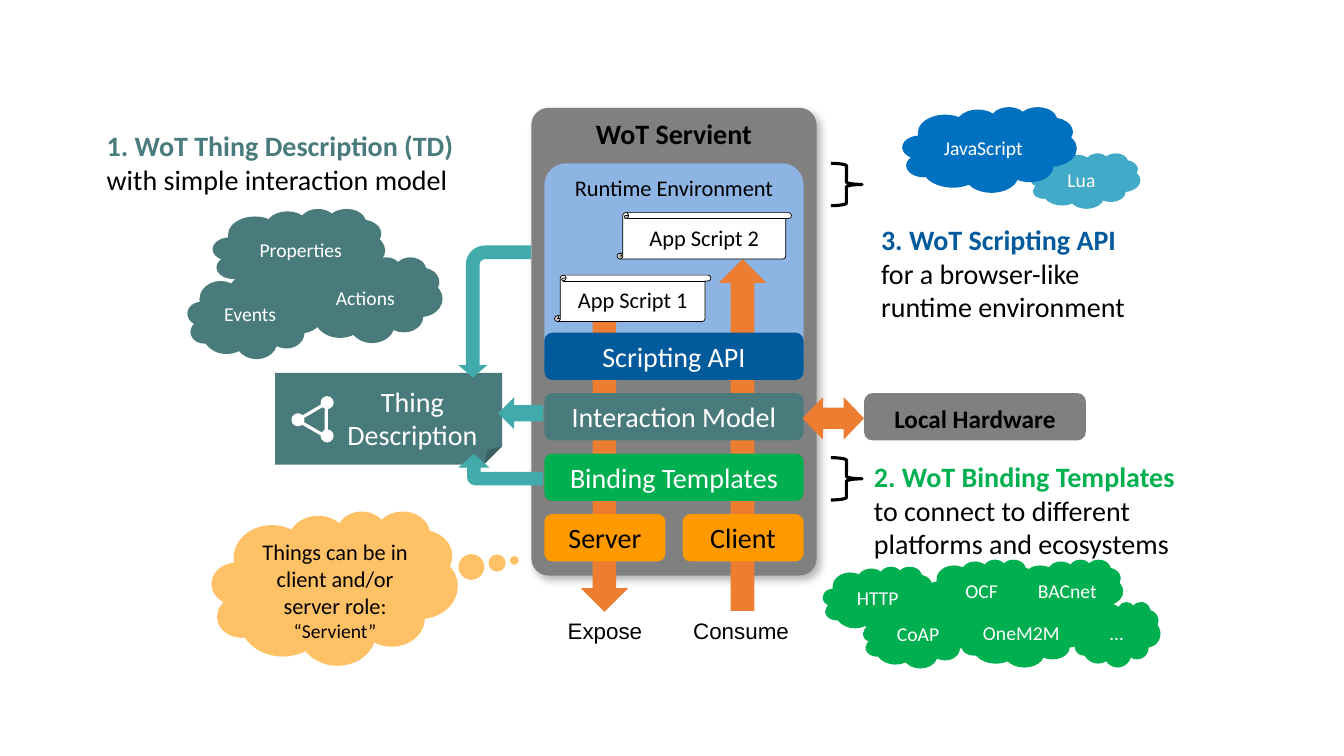
"""Draw the Web of Things servient diagram on a grid of tenth-inch cells."""
from dataclasses import dataclass
from lxml import etree
from pptx import Presentation
from pptx import util as u
from pptx.dml.color import RGBColor
from pptx.enum import shapes, text
from pptx.oxml.ns import qn

Kind = shapes.MSO_SHAPE
Anchor = text.MSO_ANCHOR
Align = text.PP_ALIGN
LEFT, WIDE = 54, 25.7

@dataclass(frozen=True)
class Theme:
    black: str = "000000"
    white: str = "FFFFFF"
    gray: str = "808080"
    sky: str = "8EB4E3"
    pine: str = "4A7B7C"
    teal: str = "41AAAA"
    lake: str = "41AAC8"
    blue: str = "0070C0"
    navy: str = "005A9C"
    green: str = "00B050"
    amber: str = "FF9900"
    rust: str = "ED7D31"
    face: str = "Calibri"
    plain: str = "Arial"
    big: int = 20
    mid: int = 18
    base: int = 16
    small: int = 14

T = Theme()

@dataclass(frozen=True)
class Style:
    size: int = T.big
    color: str = T.white
    bold: bool = False
    face: str = T.face
    anchor: Anchor = Anchor.MIDDLE
    align: Align = Align.CENTER
    pad: tuple = (1, 0.5, 1, 0.5)
    wrap: bool = False
    space: float = 1.0

@dataclass(frozen=True)
class Part:
    kind: Kind
    box: tuple
    fill: str = ""
    words: str = ""
    style: Style = Style()
    line: float = 0
    ink: str = T.black
    adj: tuple = ()
    turn: float = 0
    flip: bool = False

def cell(count: float) -> int:
    return u.Inches(round(count / 10, 2))

def paint(target, color: str) -> None:
    target.rgb = RGBColor.from_string(color)

def write(shape, words: str, style: Style, lead: str = "") -> None:
    frame = shape.text_frame
    frame.word_wrap, frame.vertical_anchor = style.wrap, style.anchor
    (frame.margin_left, frame.margin_top,
     frame.margin_right, frame.margin_bottom) = map(cell, style.pad)
    para = frame.paragraphs[0]
    para.alignment, para.line_spacing = style.align, style.space
    font = para.font
    font.name, font.size, font.bold = style.face, u.Pt(style.size), style.bold
    paint(font.color, style.color)
    for row, line in enumerate(words.split("\n")):
        if row:
            para.add_line_break()
        run = para.add_run()
        run.text = line
        if lead and not row:
            run.font.bold = True
            paint(run.font.color, lead)

def bend(shape, shares: tuple) -> None:
    guides = shape._element.spPr.find(qn("a:prstGeom")).find(qn("a:avLst"))
    guides.clear()
    for slot, share in enumerate(shares, 1):
        name = f"adj{slot}" if len(shares) > 1 else "adj"
        etree.SubElement(guides, qn("a:gd"), name=name, fmla=f"val {round(share * 100000)}")

def draw(tree, part: Part):
    shape = tree.add_shape(part.kind, *map(cell, part.box))
    shape.shadow.inherit = False
    shape.rotation = part.turn
    if part.adj:
        bend(shape, part.adj)
    if part.flip:
        shape._element.spPr.find(qn("a:xfrm")).set("flipH", "1")
    if part.fill:
        shape.fill.solid()
        paint(shape.fill.fore_color, part.fill)
    else:
        shape.fill.background()
    if part.line:
        shape.line.width = u.Pt(part.line)
        paint(shape.line.color, part.ink)
    else:
        shape.line.fill.background()
    if part.words:
        write(shape, part.words, part.style)
    return shape

def cast(shape) -> None:
    effect = shape._element.spPr.find(qn("a:effectLst"))
    outer = etree.SubElement(effect, qn("a:outerShdw"), blurRad=str(u.Pt(6)),
                             dist=str(u.Pt(4)), dir="2700000", algn="tl", rotWithShape="0")
    tint = etree.SubElement(outer, qn("a:srgbClr"), val=T.black)
    etree.SubElement(tint, qn("a:alpha"), val="30000")

def fade(shape, share: int) -> None:
    tint = shape._element.spPr.find(qn("a:solidFill"))[0]
    etree.SubElement(tint, qn("a:alpha"), val=str(share * 1000))

def cloud(box: tuple, fill: str, words: str, pad: tuple = (1, 0.5, 1, 0.5)) -> Part:
    return Part(Kind.CLOUD, box, fill, words, Style(T.small, pad=pad))

def bar(row: int, fill: str, words: str, color: str = T.white,
        left: float = LEFT, wide: float = WIDE) -> Part:
    box = (left, 33 + 6 * row, wide, 4.7)
    return Part(Kind.ROUNDED_RECTANGLE, box, fill, words, Style(color=color))

def scroll(box: tuple, words: str) -> Part:
    return Part(Kind.VERTICAL_SCROLL, box, T.white, words, Style(T.base, T.black), 0.5)

deck = Presentation()
deck.slide_width, deck.slide_height = u.Inches(13.33), u.Inches(7.5)
tree = deck.slides.add_slide(deck.slide_layouts[6]).shapes

title = Style(T.big, T.black, True, anchor=Anchor.TOP, pad=(1, 0.4, 1, 0.8))
cast(draw(tree, Part(Kind.ROUNDED_RECTANGLE, (52.7, 10.7, 28.3, 46.4), T.gray,
                     "WoT Servient", title, adj=(0.06,))))
draw(tree, Part(Kind.ROUNDED_RECTANGLE, (LEFT, 16.2, WIDE, 21.3), T.sky, "Runtime Environment",
                Style(T.base, T.black, anchor=Anchor.TOP), adj=(0.1,)))
thing = [Part(Kind.FOLDED_CORNER, (27.3, 37, 22.5, 9.1), T.pine, "Thing\nDescription",
              Style(pad=(4.7, 1.6, 0, 0)), adj=(0.2,)),
         Part(Kind.ISOSCELES_TRIANGLE, (30, 39.8, 3.3, 2.9), line=2.25, ink=T.white, turn=30)]
thing += [Part(Kind.OVAL, (x, y, 1.3, 1.3), T.white)
          for x, y in ((31.8, 39.3), (28.9, 41), (31.8, 42.6))]
tree.add_group_shape([draw(tree, part) for part in thing])

hosts = (("OCF", 91.9, 55.5, 11.1), ("HTTP", 81.6, 56.2, 11.1), ("CoAP", 85.6, 59.8, 11.1),
         ("OneM2M", 95.1, 59.7, 12.7), ("BACnet", 100.5, 55.5, 10.9), ("…", 106.4, 59.7, 8.7))
parts = [
    *(Part(Kind.RIGHT_BRACE, (82.4, y, 3.1, 4.2), line=2.25) for y in (16.2, 45.4)),
    Part(Kind.BENT_ARROW, (48.1, 42.4, 3.1, 8.4), T.teal, adj=(0.43, 0.5, 0.43, 0.26), turn=270),
    Part(Kind.LEFT_ARROW, (49.4, 39.4, 4.5, 3.2), T.teal),
    Part(Kind.BENT_ARROW, (42.5, 27.3, 13.1, 7.2), T.teal, adj=(0.19, 0.2, 0.17, 0.26),
         turn=270, flip=True),
    cloud((18.6, 27.1, 13.4, 8.5), T.pine, "Events"),
    cloud((21.1, 20.7, 17.1, 8.5), T.pine, "Properties", (1.6, 0.5, 0, 0.5)),
    cloud((29.6, 25.5, 14.3, 8.5), T.pine, "Actions"),
    Part(Kind.DOWN_ARROW, (57.6, 31.9, 4.7, 28.8), T.rust),
    Part(Kind.UP_ARROW, (71.3, 25.7, 4.7, 34.9), T.rust),
    bar(0, T.navy, "Scripting API"),
    bar(1, T.pine, "Interaction Model"),
    bar(2, T.green, "Binding Templates"),
    bar(3, T.amber, "Server", T.black, wide=12),
    bar(3, T.amber, "Client", T.black, LEFT + WIDE - 12, 12),
    scroll((61.2, 21.1, 17.3, 4.6), "App Script 2"),
    scroll((55, 27.3, 15.5, 4.6), "App Script 1"),
    Part(Kind.LEFT_RIGHT_ARROW, (79.6, 39.4, 6.1, 4.2), T.rust, adj=(0.5, 0.48)),
    Part(Kind.ROUNDED_RECTANGLE, (85.7, 39, 22, 4.7), T.gray, "Local Hardware", adj=(0.18,),
         style=Style(T.mid, T.black, True, pad=(1.2, 0.6, 1.2, 0.6), wrap=True, space=1.1)),
    cloud((102.2, 15.2, 10.9, 5.5), T.lake, "Lua"),
    cloud((89.5, 10.6, 17.3, 8.5), T.blue, "JavaScript"),
    *(cloud((x, y, w, 6.5), T.green, name, (1.6, 0.5, 1, 0.5)) for name, x, y, w in hosts)]
for part in parts:
    draw(tree, part)
role = draw(tree, Part(Kind.CLOUD_CALLOUT, (21, 50.7, 24.4, 15.3), T.amber,
                       "Things can be in\nclient and/or\nserver role:\n“Servient”",
                       Style(T.base, T.black, pad=(2.8, 1.2, 1, 0)), adj=(0.73, -0.18)))
fade(role, 60)
role.text_frame.paragraphs[0].runs[-1].font.size = u.Pt(T.small)

body = Style(T.big, T.black, anchor=Anchor.TOP, align=Align.LEFT, wrap=True)
tag = Style(T.base, T.black, face=T.plain, anchor=Anchor.TOP, pad=(0, 0, 0, 0), space=1.1)
notes = (
    ((9.6, 12.3, 44.3, 7.7), "1. WoT Thing Description (TD)\nwith simple interaction model", body, T.pine),
    ((85.7, 45.1, 40.3, 11.1),
     "2. WoT Binding Templates\nto connect to different\nplatforms and ecosystems", body, T.green),
    ((86.4, 21.6, 40.3, 11.1), "3. WoT Scripting API\nfor a browser-like\nruntime environment", body, T.navy),
    ((55, 61, 10, 3.4), "Expose", tag, ""),
    ((68.5, 61, 10, 3.4), "Consume", tag, ""))
for box, words, style, lead in notes:
    write(tree.add_textbox(*map(cell, box)), words, style, lead)
deck.save("out.pptx")
